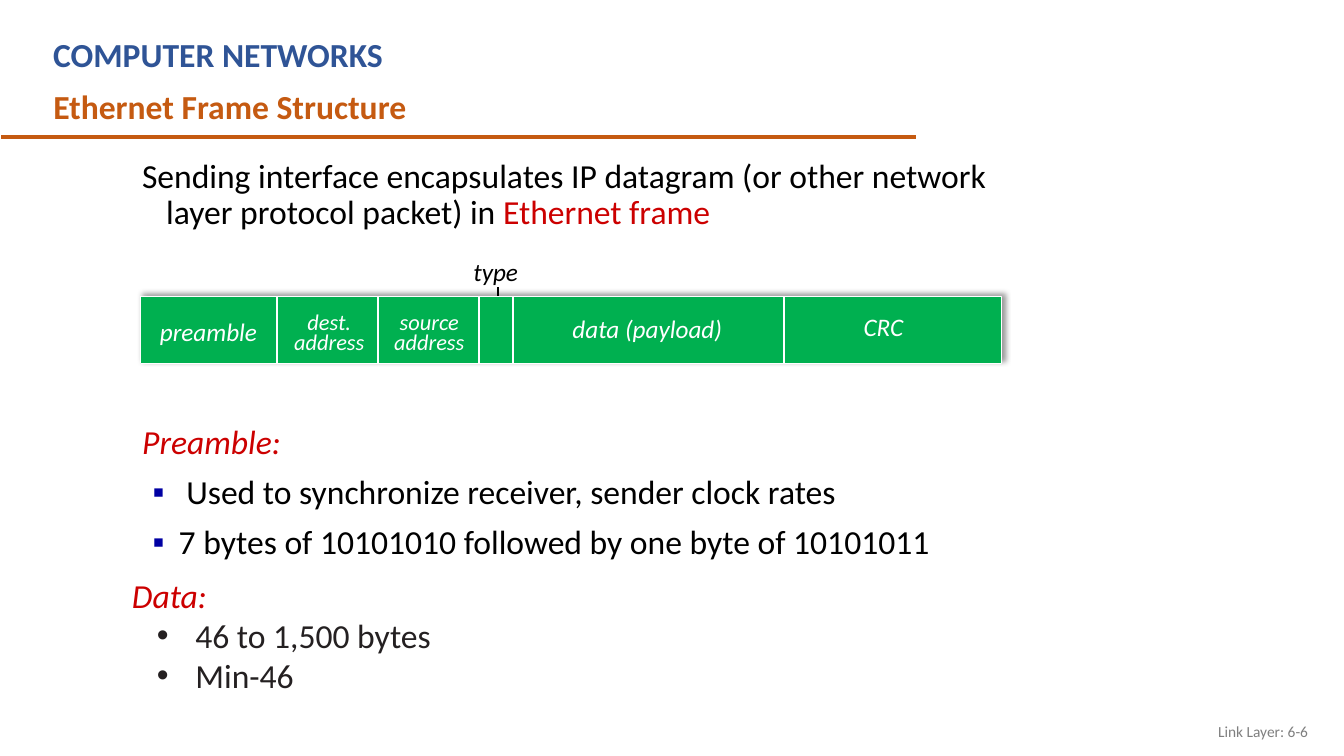
from lxml.etree import SubElement
from pptx import Presentation
from pptx.dml.color import RGBColor
from pptx.enum.shapes import MSO_CONNECTOR, MSO_SHAPE
from pptx.enum.text import MSO_ANCHOR, MSO_AUTO_SIZE, PP_ALIGN
from pptx.oxml.ns import qn
from pptx.util import Cm, Pt

HUES = {
    "black": "000000", "white": "FFFFFF", "red": "CC0000", "green": "00B050",
    "navy": "2F5496", "rust": "C55A11", "blue": "0000A3", "ink": "242021",
    "gray": "7F7F7F",
}
FONT = "Calibri"

# name, width, label top, label shift
FIELDS = [
    ("preamble", 3.45, 0.61, 0),
    ("dest.\naddress", 2.54, 0.33, 0.05),
    ("source\naddress", 2.54, 0.33, 0.03),
    ("", 0.87, 0, 0),
    ("data (payload)", 6.83, 0.53, -0.03),
    ("CRC", 5.49, 0.48, -0.24),
]


def hue(name):
    return RGBColor.from_string(HUES[name])


def fit(shape, box, anchor=MSO_ANCHOR.TOP):
    """Move a text shape to its box and return its plain, wrapping frame."""
    shape.left, shape.top, shape.width, shape.height = map(Cm, box)
    frame = shape.text_frame
    frame.word_wrap = True
    frame.auto_size = MSO_AUTO_SIZE.NONE
    frame.vertical_anchor = anchor
    return frame


def area(slide, box, **opts):
    return fit(slide.shapes.add_textbox(0, 0, 0, 0), box, **opts)


def write(frame, text, size=24, color="black", bold=False, ital=False,
          align=PP_ALIGN.LEFT, line=1.0, gap=0, left=0, hang=0,
          mark=None, dye=None, more=None):
    """Add one paragraph; more is a second run given as (text, color)."""
    para = frame.paragraphs[0]
    if para.runs:
        para = frame.add_paragraph()
    props = para._p.get_or_add_pPr()
    props.set("marL", str(Cm(left)))
    props.set("indent", str(Cm(-hang)))
    para.alignment, para.line_spacing = align, line
    para.space_before, para.space_after = Pt(gap), Pt(0)
    if mark:
        tint = SubElement(props, qn("a:buClr"))
        SubElement(tint, qn("a:srgbClr"), val=HUES[dye])
        SubElement(props, qn("a:buFont"), typeface="Arial")
        SubElement(props, qn("a:buChar"), char=mark)
    else:
        SubElement(props, qn("a:buNone"))
    for words, shade in [(text, color)] + ([more] if more else []):
        run = para.add_run()
        run.text = words
        font = run.font
        font.name, font.size = FONT, Pt(size)
        font.bold, font.italic = bold, ital
        font.color.rgb = hue(shade)


def rule(slide, x1, y1, x2, y2, color, width):
    line = slide.shapes.add_connector(
        MSO_CONNECTOR.STRAIGHT, Cm(x1), Cm(y1), Cm(x2), Cm(y2))
    line.line.color.rgb = hue(color)
    line.line.width = Pt(width)
    SubElement(line._element.spPr, qn("a:effectLst"))


def shade(shape):
    """Cast a soft shadow up and to the right."""
    shape.shadow.inherit = False
    glow = SubElement(
        shape._element.spPr.find(qn("a:effectLst")), qn("a:outerShdw"),
        blurRad=str(Pt(4)), dist=str(Pt(3)), dir=str(315 * 60000),
        algn="bl", rotWithShape="0")
    tint = SubElement(glow, qn("a:srgbClr"), val=HUES["black"])
    SubElement(tint, qn("a:alpha"), val="40000")


def header(slide, box):
    x, y, wide, high = box
    write(area(slide, (x, y, wide, 1.27)), "COMPUTER NETWORKS",
          color="navy", bold=True)
    write(fit(slide.shapes.title, (x, y + 1.3, wide, 1.27)),
          "Ethernet Frame Structure", color="rust", bold=True)
    rule(slide, 0.03, y + high, 23.09, y + high, "rust", 3)


def intro(slide, box):
    write(area(slide, box),
          "Sending interface encapsulates IP datagram "
          "(or other network layer protocol packet) in ",
          line=0.9, left=0.99, hang=0.61, more=("Ethernet frame", "red"))


def packet(slide, box):
    x, y, wide, high = box
    rule(slide, x + 9.02, y - 0.23, x + 9.02, y + 0.4, "black", 0.75)
    write(area(slide, (x + 8.15, y - 1.14, 2.67, 0.91)), "type",
          size=18, ital=True)
    bar = slide.shapes.add_shape(MSO_SHAPE.RECTANGLE, *map(Cm, box))
    bar.fill.solid()
    bar.fill.fore_color.rgb = hue("green")
    bar.line.color.rgb = hue("white")
    bar.line.width = Pt(0.75)
    shade(bar)
    edge = x
    for name, width, top, shift in FIELDS:
        if edge > x:
            rule(slide, edge, y, edge, y + high, "white", 1.5)
        if name:
            rows = name.split("\n")
            frame = area(slide, (edge + shift, y + top, width, high - top))
            for row in rows:
                write(frame, row, size=16 if len(rows) > 1 else 18,
                      color="white", ital=True, align=PP_ALIGN.CENTER,
                      line=0.75 if len(rows) > 1 else 0.67)
        edge += width


def points(shape, box, head, items, lead, style):
    """Fill a placeholder with a red heading and its bullets."""
    frame = fit(shape, box)
    write(frame, head, color="red", ital=True, **lead)
    for item in items:
        write(frame, item, **style)


def footer(slide, box):
    write(area(slide, box, anchor=MSO_ANCHOR.MIDDLE), "Link Layer: 6-6",
          size=11, color="gray", align=PP_ALIGN.RIGHT)


def main():
    deck = Presentation()
    deck.slide_width, deck.slide_height = Cm(33.87), Cm(19.05)
    slide = deck.slides.add_slide(deck.slide_layouts.get_by_name("Two Content"))
    header(slide, (1.09, 0.74, 20.83, 2.71))
    intro(slide, (2.95, 3.89, 22.33, 2.4))
    packet(slide, (3.53, 7.47, 21.72, 1.7))
    points(slide.placeholders[1], (2.95, 10.59, 23.29, 3.75), "Preamble:",
           [" Used to synchronize receiver, sender clock rates",
            "7 bytes of 10101010 followed by one byte of 10101011"],
           dict(line=0.9, left=0.99, hang=0.61),
           dict(line=0.9, gap=10, left=1.3, hang=0.66, mark="▪", dye="blue"))
    points(slide.placeholders[2], (3.07, 14.35, 20.68, 3.6), "Data:",
           ["46 to 1,500 bytes", "Min-46"], {},
           dict(color="ink", left=1.6, hang=0.97, mark="•", dye="ink"))
    footer(slide, (25.6, 17.91, 7.62, 1.02))
    deck.save("out.pptx")


if __name__ == "__main__":
    main()
